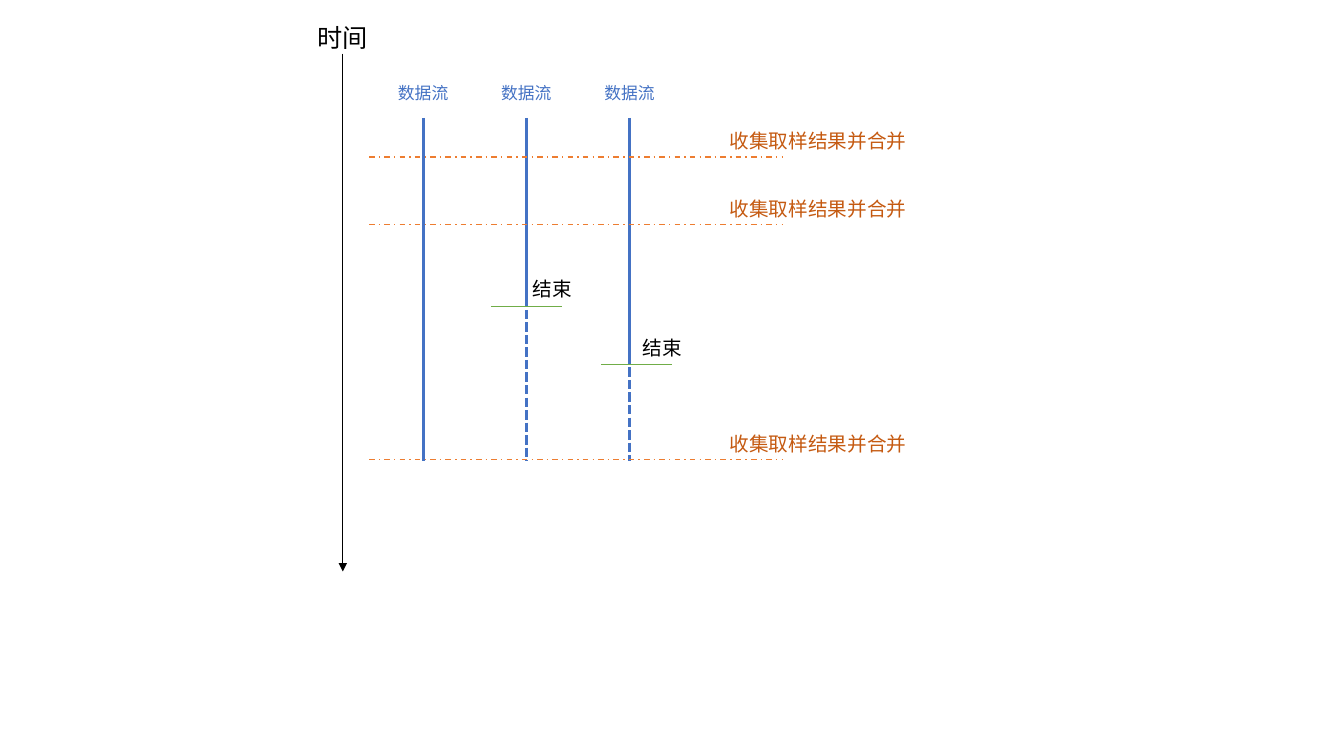
import pptx
import pptx.dml.color
import pptx.enum.dml
import pptx.enum.shapes
import pptx.oxml.ns
import pptx.util
from lxml import etree
from pptx.util import Cm

COLORS = {
    "stream": "4472C4",
    "collect": "ED7D31",
    "collect_text": "C55A11",
    "finish": "70AD47",
    "black": "000000",
}
DASH = pptx.enum.dml.MSO_LINE


class Diagram:
    """Holds the style and the current slide; all lengths are centimetres."""

    font = "Calibri"

    def __init__(self, slide):
        self.slide = slide

    def color(self, name):
        return pptx.dml.color.RGBColor.from_string(COLORS[name])

    def line(self, x1, y1, x2, y2, color, width, dash=None, arrow=False):
        connector = self.slide.shapes.add_connector(
            pptx.enum.shapes.MSO_CONNECTOR.STRAIGHT, Cm(x1), Cm(y1), Cm(x2), Cm(y2))
        connector.line.color.rgb = self.color(color)
        connector.line.width = pptx.util.Pt(width)
        if dash:
            connector.line.dash_style = dash
        if arrow:
            etree.SubElement(connector.line._get_or_add_ln(),
                             pptx.oxml.ns.qn("a:tailEnd"), type="triangle")
        etree.SubElement(connector._element.spPr, pptx.oxml.ns.qn("a:effectLst"))

    def text(self, words, left, top, width, height, color, size):
        frame = self.slide.shapes.add_textbox(
            Cm(left), Cm(top), Cm(width), Cm(height)).text_frame
        frame.word_wrap = True
        frame.text = words
        font = frame.paragraphs[0].runs[0].font
        font.name = self.font
        font.size = pptx.util.Pt(size)
        font.color.rgb = self.color(color)


deck = pptx.Presentation()
deck.slide_width, deck.slide_height = Cm(33.87), Cm(19.05)
diagram = Diagram(deck.slides.add_slide(deck.slide_layouts[6]))

# Time axis
diagram.line(8.64, 1.35, 8.64, 14.4, "black", 0.5, arrow=True)
diagram.text("时间", 7.75, 0.43, 2.24, 1.02, "black", 18)

# Data streams: solid while running, dashed after their end
STREAM_TOP, STREAM_BOTTOM = 2.97, 11.61
FIRST_STREAM, STREAM_GAP = 10.67, 2.6
stream_spans = [(STREAM_BOTTOM, None), (7.49, 7.49), (9.19, 8.31)]
for index, (solid_end, dash_start) in enumerate(stream_spans):
    stream_x = FIRST_STREAM + index * STREAM_GAP
    diagram.line(stream_x, STREAM_TOP, stream_x, solid_end, "stream", 2.25)
    diagram.text("数据流", stream_x - 0.89, 1.96, 1.78, 0.76, "stream", 12)
    if dash_start:
        diagram.line(stream_x, dash_start, stream_x, STREAM_BOTTOM,
                     "stream", 2.25, DASH.SQUARE_DOT)

# Moments when the samples are collected and merged
for collect_y in (3.96, 5.66, 11.58):
    diagram.line(9.3, collect_y, 19.71, collect_y, "collect", 1, DASH.DASH_DOT)
    diagram.text("收集取样结果并合并", 18.14, collect_y - 0.83, 5.36, 0.86,
                 "collect_text", 14)

# End marks of the second and third streams
for finish_x, finish_y in ((12.37, 7.72), (15.14, 9.19)):
    diagram.line(finish_x, finish_y, finish_x + 1.79, finish_y, "finish", 0.5)
    diagram.text("结束", finish_x + 0.8, finish_y - 0.86, 3.1, 0.86, "black", 14)

deck.save("out.pptx")
